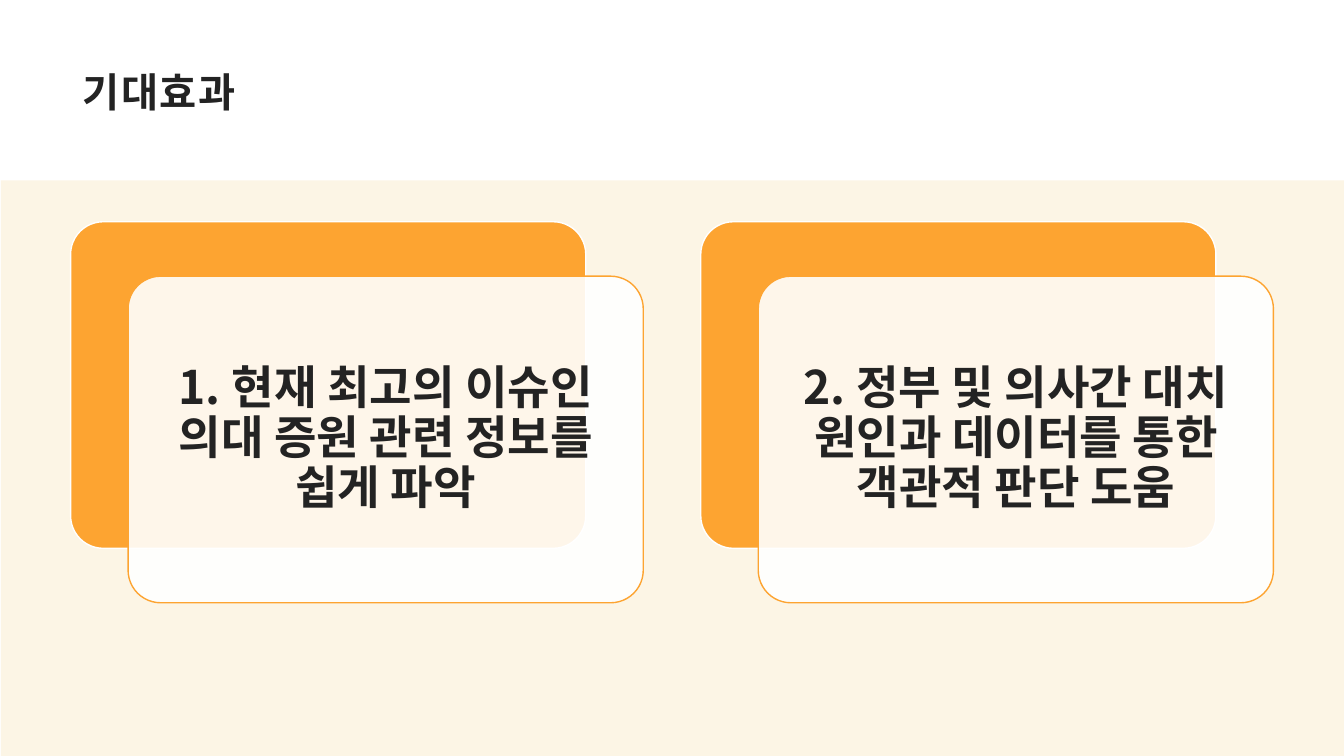
from lxml import etree
from pptx import Presentation
from pptx.dml.color import RGBColor
from pptx.enum.shapes import MSO_SHAPE as Shape
from pptx.enum.text import MSO_ANCHOR as Anchor, PP_ALIGN as Align
from pptx.oxml.ns import qn
from pptx.util import Inches, Pt

TITLE = "기대효과"
EFFECTS = [
    "1. 현재 최고의 이슈인 의대 증원 관련 정보를 쉽게 파악",
    "2. 정부 및 의사간 대치 원인과 데이터를 통한 객관적 판단 도움",
]

FONT = "Noto Sans CJK KR"
INK = RGBColor(0x23, 0x23, 0x23)
CREAM = RGBColor(0xFC, 0xF5, 0xE5)
ORANGE = RGBColor(0xFD, 0xA4, 0x31)
WHITE = RGBColor(0xFF, 0xFF, 0xFF)

SLIDE_W, SLIDE_H = 13.33, 7.5
BAND_TOP = 1.79
CARD_LEFT, CARD_TOP, CARD_W, CARD_H = 0.7, 2.2, 5.11, 3.24
CARD_PITCH = 6.25
FRONT_DX, FRONT_DY = 0.57, 0.54
TEXT_PAD = 0.095


def add_block(slide, preset, left, top, width, height, fill, line=None):
    block = slide.shapes.add_shape(
        preset, Inches(left), Inches(top), Inches(width), Inches(height))
    block.shadow.inherit = False
    block.fill.solid()
    block.fill.fore_color.rgb = fill
    if line is None:
        block.line.fill.background()
    else:
        block.line.color.rgb = line
        block.line.width = Pt(1)
    return block


def add_card_layer(slide, left, top, fill, line):
    card = add_block(slide, Shape.ROUNDED_RECTANGLE, left, top, CARD_W, CARD_H, fill, line)
    card.adjustments[0] = 0.1
    return card


def set_opacity(shape, percent):
    color = shape.fill._xPr.find(qn("a:solidFill"))[0]
    etree.SubElement(color, qn("a:alpha"), val=str(percent * 1000))


def add_text(slide, text, left, top, width, height, size, inset, line_spacing):
    box = slide.shapes.add_textbox(
        Inches(left), Inches(top), Inches(width), Inches(height))
    frame = box.text_frame
    frame.word_wrap = True
    frame.vertical_anchor = Anchor.MIDDLE
    frame.margin_left = frame.margin_right = Inches(inset)
    frame.margin_top = frame.margin_bottom = Inches(inset)
    paragraph = frame.paragraphs[0]
    paragraph.text = text
    paragraph.line_spacing = line_spacing
    font = paragraph.font
    font.size = Pt(size)
    font.bold = True
    font.color.rgb = INK
    font.name = FONT
    # Hangul takes its typeface from the East Asian font slot
    etree.SubElement(font._rPr, qn("a:ea"), typeface=FONT)
    return paragraph


def main():
    prs = Presentation()
    prs.slide_width, prs.slide_height = Inches(SLIDE_W), Inches(SLIDE_H)
    slide = prs.slides.add_slide(prs.slide_layouts[6])
    slide.background.fill.solid()
    slide.background.fill.fore_color.rgb = WHITE

    title = add_text(slide, TITLE, 0.7, 0.52, 11.93, 0.75, 28.8, 0.12, 1.05)
    title.font._rPr.set("spc", "100")
    add_block(slide, Shape.RECTANGLE, 0.01, BAND_TOP,
              SLIDE_W - 0.01, SLIDE_H - BAND_TOP, CREAM)

    for index, effect in enumerate(EFFECTS):
        left = CARD_LEFT + index * CARD_PITCH
        front_left, front_top = left + FRONT_DX, CARD_TOP + FRONT_DY
        add_card_layer(slide, left, CARD_TOP, ORANGE, WHITE)
        front = add_card_layer(slide, front_left, front_top, WHITE, ORANGE)
        set_opacity(front, 90)
        label = add_text(slide, effect, front_left + TEXT_PAD, front_top + TEXT_PAD,
                         CARD_W - 2 * TEXT_PAD, CARD_H - 2 * TEXT_PAD, 33, 0.14, 0.9)
        label.alignment = Align.CENTER

    prs.save("out.pptx")


if __name__ == "__main__":
    main()
